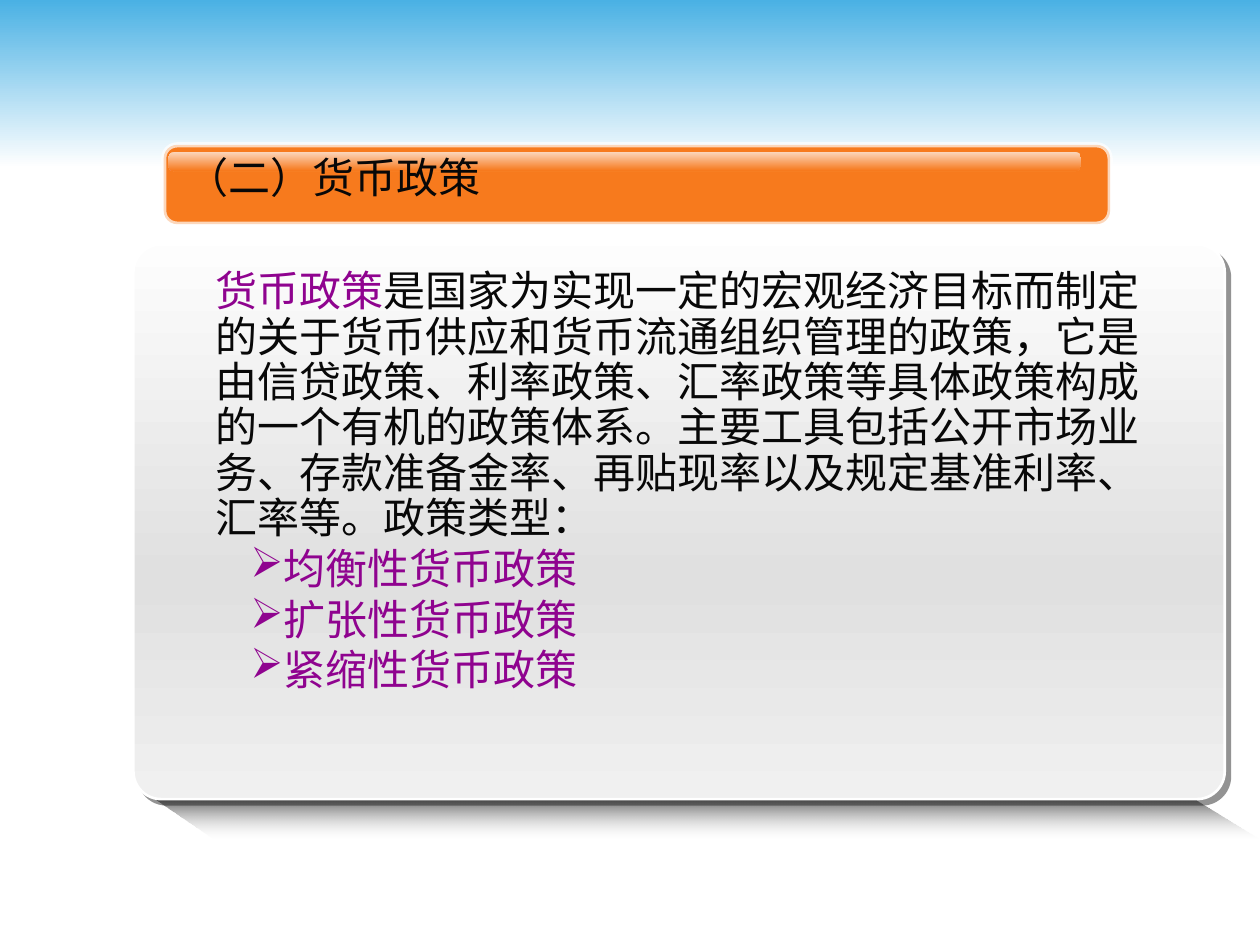
from typing import NamedTuple, Optional

from pptx import Presentation
from pptx.dml.color import RGBColor as RGB
from pptx.enum.shapes import MSO_SHAPE as Kind
from pptx.oxml.ns import qn
from pptx.oxml.xmlchemy import OxmlElement as Node
from pptx.util import Cm, Pt

SKY = RGB(0x4A, 0xB1, 0xE4)
WHITE = RGB(0xFF, 0xFF, 0xFF)
PALE = RGB(0xFD, 0xFD, 0xFD)
GREY = RGB(0xE0, 0xE0, 0xE0)
LIGHT = RGB(0xF0, 0xF0, 0xF0)
SILVER = RGB(0xDD, 0xDD, 0xDD)
SHADE = RGB(0x29, 0x29, 0x29)
INK = RGB(0x08, 0x08, 0x08)
ORANGE = RGB(0xF7, 0x7A, 0x1D)
PURPLE = RGB(0x8F, 0x03, 0x8F)


class Stop(NamedTuple):
    pos: int
    color: RGB
    alpha: int = 100


class Block(NamedTuple):
    """A preset shape: place in cm, fill, corner and outline."""
    box: tuple
    stops: list
    round: Optional[float] = None
    line: Optional[float] = None
    alpha: int = 100
    drop: bool = False


class Run(NamedTuple):
    text: str
    color: RGB


class Para(NamedTuple):
    runs: list
    bullet: bool = False
    space: float = 1.0


def tint(color: RGB, alpha: int = 100):
    node = Node("a:srgbClr")
    node.set("val", str(color))
    if alpha < 100:
        part = Node("a:alpha")
        part.set("val", str(alpha * 1000))
        node.append(part)
    return node


def paint(shape, stops: list) -> None:
    """Fill with one plain colour, or top to bottom with a gradient."""
    if len(stops) == 1:
        shape.fill.solid()
        shape.fill.fore_color.rgb = stops[0].color
        return
    shape.fill.gradient()
    shape.fill.gradient_angle = 270
    row = shape._element.spPr.find(qn("a:gradFill")).find(qn("a:gsLst"))
    for old in list(row):
        row.remove(old)
    for stop in stops:
        node = Node("a:gs")
        node.set("pos", str(stop.pos * 1000))
        node.append(tint(stop.color, stop.alpha))
        row.append(node)


def cast(shape) -> None:
    """Add a soft-toned shadow down and to the right."""
    drop = Node("a:outerShdw")
    drop.set("dist", str(Pt(4.2)))
    drop.set("dir", str(45 * 60000))
    drop.append(tint(SHADE, 50))
    shape._element.spPr.find(qn("a:effectLst")).append(drop)


def draw(slide, block: Block) -> None:
    kind = Kind.RECTANGLE if block.round is None else Kind.ROUNDED_RECTANGLE
    shape = slide.shapes.add_shape(kind, *map(Cm, block.box))
    shape.shadow.inherit = False
    if block.round is not None:
        shape.adjustments[0] = block.round
    paint(shape, block.stops)
    if block.line is None:
        shape.line.fill.background()
    else:
        shape.line.width = Pt(block.line)
        shape.line.color.rgb = WHITE
        fill = shape.line._ln.find(qn("a:solidFill"))
        fill.replace(fill[0], tint(WHITE, block.alpha))
    if block.drop:
        cast(shape)


def slant(slide, points: list, stops: list) -> None:
    pen = slide.shapes.build_freeform(*map(Cm, points[0]))
    pen.add_line_segments([(Cm(x), Cm(y)) for x, y in points[1:]])
    shape = pen.convert_to_shape()
    shape.shadow.inherit = False
    shape.line.fill.background()
    paint(shape, stops)


def mark(para) -> None:
    """Give the paragraph an indented purple arrow bullet."""
    props = para._p.get_or_add_pPr()
    props.set("marL", str(Cm(0.71)))
    props.set("indent", "0")
    color = Node("a:buClr")
    color.append(tint(PURPLE))
    char = Node("a:buChar")
    char.set("char", "➢")
    props.extend([color, char])


def write(slide, box: tuple, paras: list) -> None:
    frame = slide.shapes.add_textbox(*map(Cm, box)).text_frame
    frame.word_wrap = True
    for i, item in enumerate(paras):
        para = frame.add_paragraph() if i else frame.paragraphs[0]
        if item.bullet:
            mark(para)
        if item.space != 1:
            para.line_spacing = item.space
        for part in item.runs:
            run = para.add_run()
            run.text = part.text
            run.font.size = Pt(24)
            run.font.name = "Arial"
            run.font.color.rgb = part.color


BODY = (
    "是国家为实现一定的宏观经济目标而制定的关于货币供应和货币流通组织管理的政策，"
    "它是由信贷政策、利率政策、汇率政策等具体政策构成的一个有机的政策体系。"
    "主要工具包括公开市场业务、存款准备金率、再贴现率以及规定基准利率、汇率等。"
    "政策类型："
)
TYPES = ["均衡性货币政策", "扩张性货币政策", "紧缩性货币政策"]


def main() -> None:
    deck = Presentation()
    deck.slide_width, deck.slide_height = Cm(25.4), Cm(19.05)
    slide = deck.slides.add_slide(deck.slide_layouts[6])

    # Sky band
    draw(slide, Block((0, 0, 25.4, 3.38), [Stop(0, SKY), Stop(100, WHITE)]))

    # Panel and the shade below it
    slant(slide, [(3.15, 16.13), (24.1, 16.13), (25.38, 16.91), (4.3, 16.91)],
          [Stop(0, INK, 60), Stop(100, SILVER, 0)])
    draw(slide, Block((2.69, 4.93, 22, 11.18),
                      [Stop(0, PALE), Stop(60, GREY), Stop(100, LIGHT)],
                      round=0.05, line=1.5, drop=True))

    # Title bar with its gloss
    draw(slide, Block((3.3, 2.92, 19.08, 1.6), [Stop(0, ORANGE)],
                      round=0.17, line=3, alpha=70))
    draw(slide, Block((3.4, 3.07, 18.39, 0.38),
                      [Stop(0, WHITE, 70), Stop(100, ORANGE, 70)], round=0.28))

    # Text
    write(slide, (3.51, 2.92, 15.32, 1.27), [Para([Run("（二）货币政策", INK)])])
    lead = Para([Run("货币政策", PURPLE), Run(BODY, INK)], space=0.9)
    write(slide, (4.09, 5.33, 19.43, 8.79),
          [lead] + [Para([Run(name, PURPLE)], bullet=True) for name in TYPES])

    deck.save("out.pptx")


if __name__ == "__main__":
    main()
